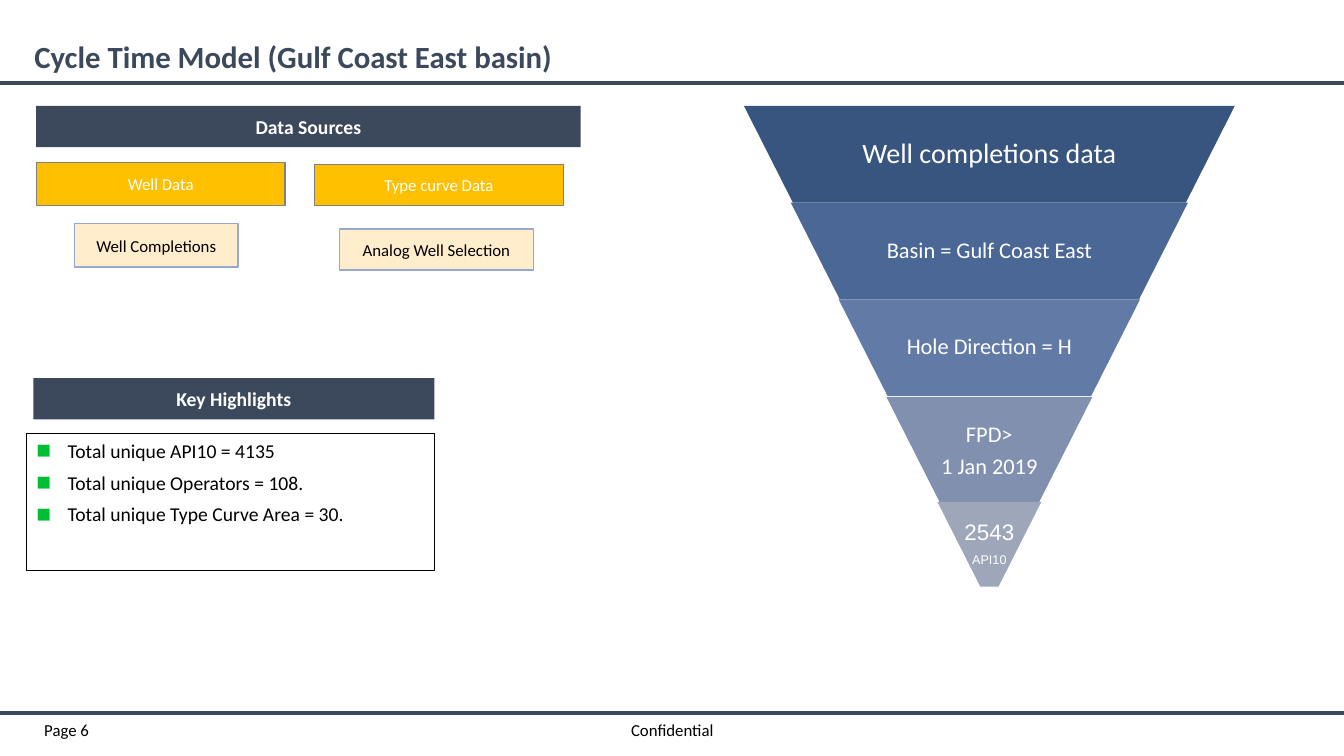
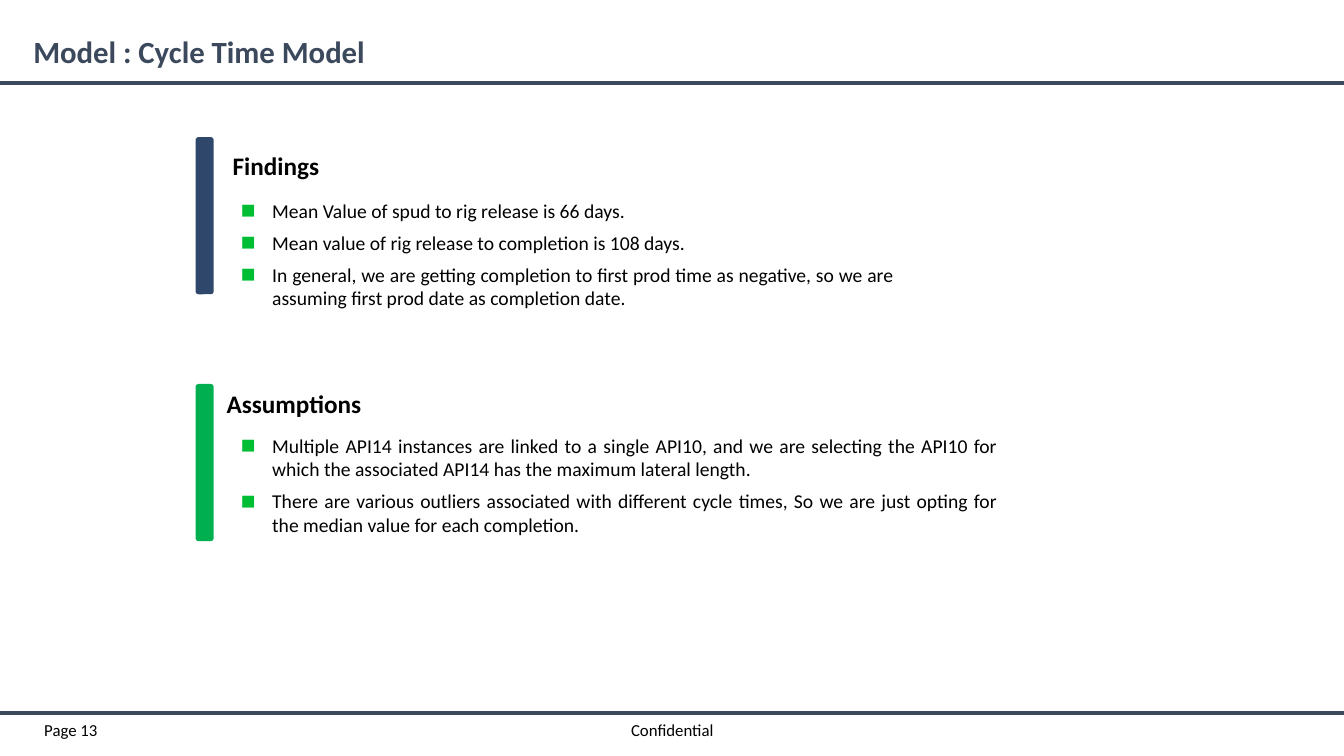
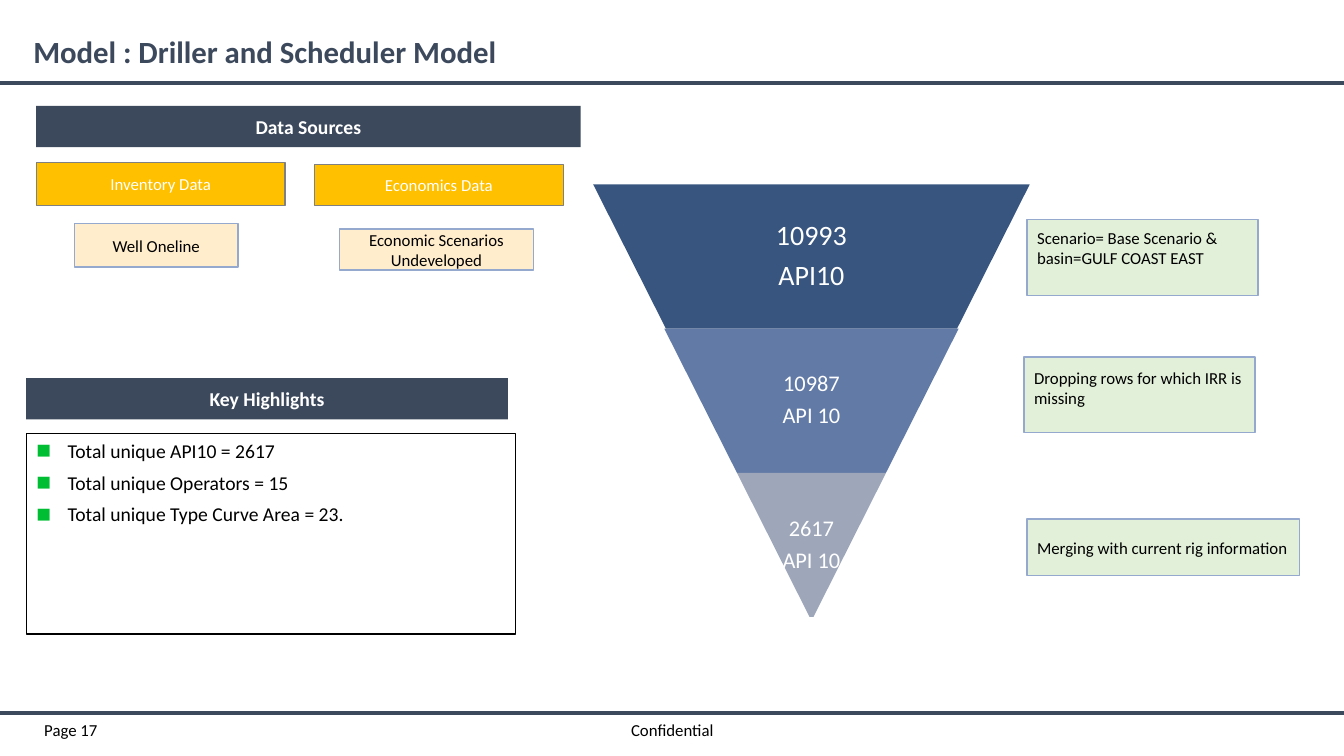
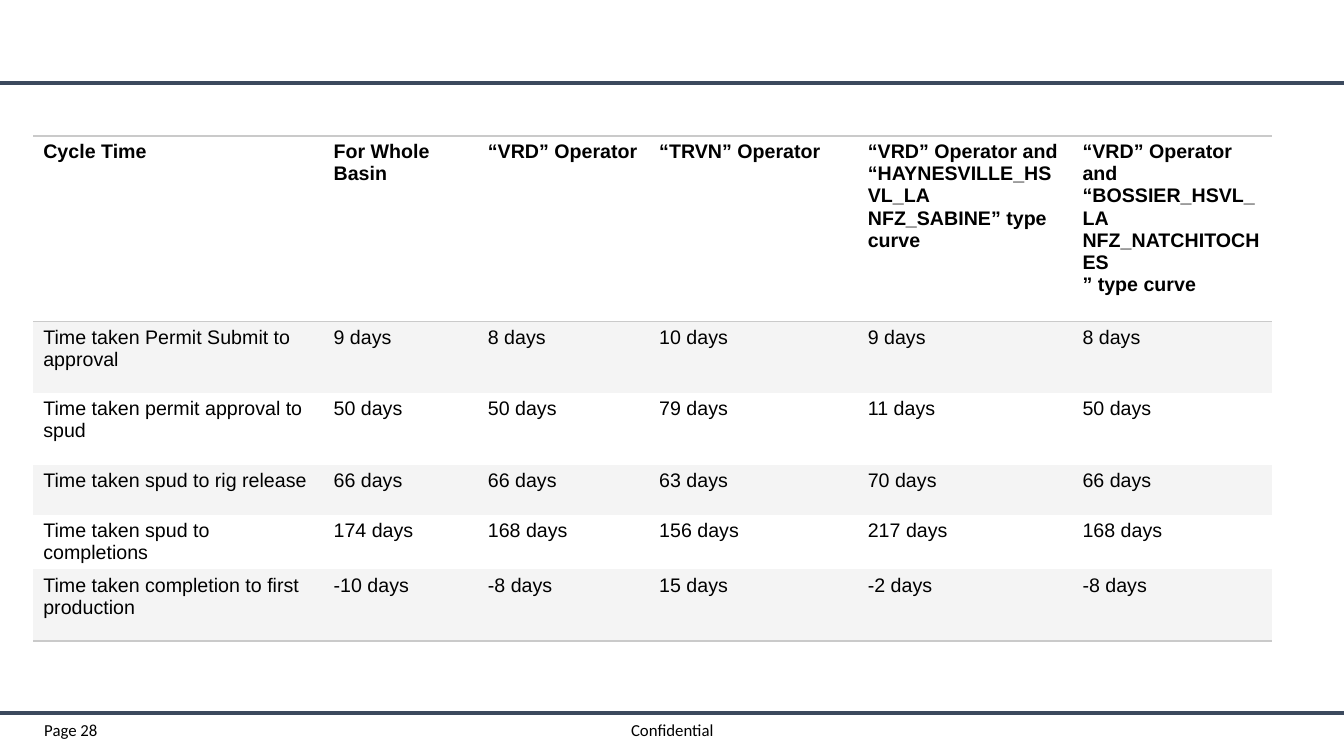
"""Build four slides on well cycle times and the driller and scheduler model."""
from lxml.etree import SubElement
from pptx import Presentation
from pptx.dml.color import RGBColor
from pptx.enum.shapes import MSO_CONNECTOR as Connector, MSO_SHAPE as Preset
from pptx.enum.text import MSO_ANCHOR as Anchor, MSO_AUTO_SIZE as AutoSize, PP_ALIGN as Align
from pptx.oxml.ns import qn
from pptx.util import Inches, Pt

COLUMNS, ROWS = 133.33, 75
CELL = Inches(0.1)
ONE_CONTENT, TWO_CONTENT, BLANK = 1, 3, 6
NO_GRID_STYLE = "{2D5ABB26-0587-4C30-8999-92F81FD0307C}"

SLATE, BLACK, WHITE = "3C495D", "000000", "FFFFFF"
AMBER, CREAM, MINT = "FFC000", "FFEDCC", "E2F0D9"
GRAY, PALE_BLUE = "808080", "95A8CD"
BULLET_GREEN, RULE_GRAY, BAND_GRAY = "00BE34", "CACACA", "F4F4F4"


def color(value):
    """Turn a hex string into a colour."""
    return RGBColor.from_string(value)


def grid(*lengths):
    """Turn grid columns and rows into slide lengths."""
    return [round(length * CELL) for length in lengths]


class Deck:
    """Hold the shared style and the current slide."""

    def __init__(self):
        """Start an empty presentation of the right size."""
        self.presentation = Presentation()
        self.presentation.slide_width, self.presentation.slide_height = grid(COLUMNS, ROWS)
        self.slide = None

    def new_slide(self, page, layout):
        """Add a slide with its rules and footer."""
        self.slide = self.presentation.slides.add_slide(self.presentation.slide_layouts[layout])
        for row in (8.2, 70.7):
            self.rule(row)
        self.text((60.4, 70.9, 12.6, 3), ["Confidential"], 12, align=Align.CENTER, anchor=Anchor.MIDDLE)
        self.text((3.4, 70.9, 31.2, 3), [f"Page {page}"], 12, anchor=Anchor.MIDDLE)

    def rule(self, row):
        """Draw a line across the slide."""
        line = self.slide.shapes.add_connector(Connector.STRAIGHT, *grid(0, row, COLUMNS, row))
        line.line.color.rgb = color(SLATE)
        line.line.width = Pt(3)
        SubElement(line._element.spPr, qn("a:effectLst"))

    def add_lines(self, frame, lines, size, ink=BLACK, bold=False, font="Calibri", align=Align.LEFT):
        """Add one paragraph per line; a line may carry its own size and font."""
        for index, line in enumerate(lines):
            paragraph = frame.add_paragraph() if index else frame.paragraphs[0]
            paragraph.alignment = align
            text, line_size, line_font = (line, size, font) if isinstance(line, str) else line
            run = paragraph.add_run()
            run.text = text
            run.font.size = Pt(line_size)
            run.font.name = line_font
            run.font.bold = bold
            run.font.color.rgb = color(ink)

    def frame(self, shape, anchor=Anchor.TOP, margins=(0.1, 0.05)):
        """Prepare the text frame of a shape."""
        frame = shape.text_frame
        frame.word_wrap = True
        frame.auto_size = AutoSize.NONE
        frame.vertical_anchor = anchor
        frame.margin_left = frame.margin_right = Inches(margins[0])
        frame.margin_top = frame.margin_bottom = Inches(margins[1])
        return frame

    def text(self, area, lines, size, anchor=Anchor.TOP, margins=(0.1, 0.05), **style):
        """Add a text box."""
        frame = self.frame(self.slide.shapes.add_textbox(*grid(*area)), anchor, margins)
        self.add_lines(frame, lines, size, **style)
        return frame

    def shape(self, preset, area, fill, outline=None):
        """Add a flat preset shape."""
        shape = self.slide.shapes.add_shape(preset, *grid(*area))
        shape.shadow.inherit = False
        shape.fill.solid()
        shape.fill.fore_color.rgb = color(fill)
        if outline:
            shape.line.color.rgb = color(outline)
            shape.line.width = Pt(1)
        else:
            shape.line.fill.background()
        return shape

    def label(self, area, lines, fill, outline=None, size=12, anchor=Anchor.MIDDLE, top=0.05, **style):
        """Add a rectangle with text in it."""
        frame = self.frame(self.shape(Preset.RECTANGLE, area, fill, outline), anchor)
        frame.margin_top = Inches(top)
        self.add_lines(frame, lines, size, **style)

    def heading(self, area, text):
        """Add a dark heading band."""
        self.label(area, [text], SLATE, size=14, ink=WHITE, bold=True, align=Align.CENTER)

    def move(self, placeholder, area):
        """Move a placeholder to an area of the grid."""
        placeholder.left, placeholder.top, placeholder.width, placeholder.height = grid(*area)

    def title(self, text, column=3.3, row=0):
        """Fill the title placeholder."""
        title = self.slide.shapes.title
        self.move(title, (column, row, 126.7, 6.9))
        frame = self.frame(title, Anchor.BOTTOM, (0, 0))
        self.add_lines(frame, [text], 22, ink=SLATE, bold=True)
        frame.paragraphs[0].line_spacing = 1.22

    def bullets(self, index, area, lines, outline=None):
        """Fill a body placeholder with a square-bulleted list."""
        body = self.slide.placeholders[index]
        self.move(body, area)
        if outline:
            body.line.color.rgb = color(outline)
            body.line.width = Pt(0.75)
        frame = self.frame(body)
        self.add_lines(frame, lines, 14, align=Align.JUSTIFY)
        for position, paragraph in enumerate(frame.paragraphs):
            paragraph.space_before = Pt(3 if position else 0)
            paragraph.space_after = Pt(3)
            properties = paragraph._p.get_or_add_pPr()
            properties.set("marL", str(Inches(0.31)))
            properties.set("indent", str(-Inches(0.31)))
            SubElement(SubElement(properties, qn("a:buClr")), qn("a:srgbClr"), val=BULLET_GREEN)
            SubElement(properties, qn("a:buSzPct"), val="125000")
            SubElement(properties, qn("a:buChar"), char="■")

    def funnel(self, center, slope, layers):
        """Stack inverted trapezoids around a centre column."""
        for layer, (row, width, height, fill, size, lines) in enumerate(layers, 1):
            band = self.shape(Preset.TRAPEZOID, (center - width / 2, row, width, height), fill)
            band.adjustments[0] = slope
            band.rotation = 180
            inner = width if layer == len(layers) else width * 0.65
            area = (center - inner / 2, row, inner, height)
            frame = self.text(area, lines, size, Anchor.MIDDLE, (0.02, 0.02), ink=WHITE, align=Align.CENTER)
            for paragraph in frame.paragraphs:
                paragraph.line_spacing = 0.9
                paragraph.space_after = Pt(round(size * 0.35, 1))

    def sources(self, groups):
        """Show two data groups, each with its data set below."""
        self.heading((3.6, 10.5, 54, 4.1), "Data Sources")
        group_areas = ((3.6, 16.1, 24.7, 4.3), (31.2, 16.3, 24.7, 4.1))
        set_areas = ((7.4, 22.2, 16.2, 4.3), (33.7, 22.7, 19.2, 4.1))
        for (group, data_set), group_area, set_area in zip(groups, group_areas, set_areas):
            self.label(group_area, [group], AMBER, GRAY, ink=WHITE, align=Align.CENTER)
            self.label(set_area, [data_set], CREAM, PALE_BLUE, align=Align.CENTER)

    def highlights(self, column, heading_width, list_width, list_height, lines):
        """Show the highlights band and its framed list."""
        self.heading((column, 37.5, heading_width, 4.1), "Key Highlights")
        self.bullets(1, (2.6, 43, list_width, list_height), lines, BLACK)

    def border(self, cell, side):
        """Draw a thin rule on one side of a cell."""
        properties = cell._tc.get_or_add_tcPr()
        line = properties.makeelement(qn(f"a:{side}"), {"w": str(Pt(1))})
        SubElement(SubElement(line, qn("a:solidFill")), qn("a:srgbClr"), val=RULE_GRAY)
        properties.insert(1 if properties.find(qn("a:lnT")) is not None else 0, line)

    def table(self, column, row, widths, heights, rows):
        """Add a banded table with ruled header and foot."""
        area = grid(column, row, sum(widths), sum(heights))
        table = self.slide.shapes.add_table(len(rows), len(widths), *area).table
        table._tbl.tblPr.find(qn("a:tableStyleId")).text = NO_GRID_STYLE
        for table_column, width in zip(table.columns, grid(*widths)):
            table_column.width = width
        for table_row, height in zip(table.rows, grid(*heights)):
            table_row.height = height
        for row_index, values in enumerate(rows):
            sides = {0: ("lnT", "lnB"), len(rows) - 1: ("lnB",)}.get(row_index, ())
            for cell, value in zip(table.rows[row_index].cells, values):
                self.add_lines(cell.text_frame, value.split("\n"), 14, bold=row_index == 0, font="Arial")
                if row_index % 2:
                    cell.fill.solid()
                    cell.fill.fore_color.rgb = color(BAND_GRAY)
                else:
                    cell.fill.background()
                for side in sides:
                    self.border(cell, side)


def cycle_time_data(deck):
    """Show the data behind the cycle time model."""
    deck.new_slide(6, ONE_CONTENT)
    deck.title("Cycle Time Model (Gulf Coast East basin)", 3.4, 0.5)
    deck.funnel(98.15, 0.506, [
        (10.5, 48.7, 9.6, "385580", 20, ["Well completions data"]),
        (20.1, 39.4, 9.6, "4B6795", 16, ["Basin = Gulf Coast East"]),
        (29.7, 29.9, 9.6, "627AA6", 16, ["Hole Direction = H"]),
        (39.4, 20.4, 10.8, "8190AF", 16, ["FPD>", "1 Jan 2019"]),
        (49.8, 10.3, 8.4, "9EA7BA", 16, [("2543", 16, "Arial"), ("API10", 9, "Arial")]),
    ])
    deck.highlights(3.3, 39.8, 40.5, 13.6, [
        "Total unique API10 = 4135",
        "Total unique Operators = 108.",
        "Total unique Type Curve Area = 30.",
    ])
    deck.sources([("Well Data", "Well Completions"), ("Type curve Data", "Analog Well Selection")])


def cycle_time_findings(deck):
    """Show the findings and assumptions of the cycle time model."""
    deck.new_slide(13, TWO_CONTENT)
    deck.title("Model : Cycle Time Model")
    for row, fill in ((13.6, "2F476A"), (38.1, "00B050")):
        deck.shape(Preset.ROUNDED_RECTANGLE, (19.4, row, 1.8, 15.6), fill)
    for column, row, text in ((22.1, 14.4, "Findings"), (21.5, 38, "Assumptions")):
        deck.text((column, row, 66.8, 4), [text], 18, bold=True)
    deck.bullets(1, (22.9, 19.2, 66.8, 12.6), [
        "Mean Value of spud to rig release is 66 days.",
        "Mean value of rig release to completion is 108 days.",
        "In general, we are getting completion to first prod time as negative, "
        "so we are assuming first prod date as completion date.",
    ])
    deck.bullets(2, (22.9, 42.5, 77.1, 19.9), [
        "Multiple API14 instances are linked to a single API10, and we are selecting the API10 "
        "for which the associated API14 has the maximum lateral length.",
        "There are various outliers associated with different cycle times, "
        "So we are just opting for the median value for each completion.",
    ])


def scheduler_data(deck):
    """Show the data behind the driller and scheduler model."""
    deck.new_slide(17, ONE_CONTENT)
    deck.title("Model : Driller and Scheduler Model")
    deck.highlights(2.6, 47.8, 48.5, 19.9, [
        "Total unique API10 = 2617",
        "Total unique Operators = 15",
        "Total unique Type Curve Area = 23.",
    ])
    deck.sources([("Inventory Data", "Well Oneline"), ("Economics Data", "Economic Scenarios Undeveloped")])
    deck.funnel(80.5, 0.504, [
        (18.3, 43.3, 14.3, "385580", 20, ["10993", "API10"]),
        (32.6, 29.2, 14.3, "627AA6", 16, ["10987", "API 10"]),
        (46.9, 14.8, 14.3, "9EA7BA", 16, ["2617", "API 10"]),
    ])
    deck.label((101.9, 21.8, 22.9, 7.5), ["Scenario= Base Scenario & basin=GULF COAST EAST"],
               MINT, PALE_BLUE, anchor=Anchor.TOP, top=0.08)
    deck.label((101.6, 35.4, 22.9, 7.5), ["Dropping rows for which IRR is", "missing"],
               MINT, PALE_BLUE, anchor=Anchor.TOP, top=0.11)
    deck.label((101.9, 51.5, 27, 5.6), ["Merging with current rig information"], MINT, PALE_BLUE)


def cycle_time_table(deck):
    """Compare cycle times by operator and type curve."""
    deck.new_slide(28, BLANK)
    header = [
        "Cycle Time", "For Whole Basin", "“VRD” Operator", "“TRVN” Operator",
        "“VRD” Operator and “HAYNESVILLE_HSVL_LA NFZ_SABINE” type curve",
        "“VRD” Operator and “BOSSIER_HSVL_LA NFZ_NATCHITOCHES\n” type curve",
    ]
    days = {
        "Time taken Permit Submit to approval": (9, 8, 10, 9, 8),
        "Time taken permit approval to spud": (50, 50, 79, 11, 50),
        "Time taken spud to rig release": (66, 66, 63, 70, 66),
        "Time taken spud to completions": (174, 168, 156, 217, 168),
        "Time taken completion to first production": (-10, -8, 15, -2, -8),
    }
    rows = [[step, *(f"{value} days" for value in values)] for step, values in days.items()]
    deck.table(3.3, 13.5, (28.8, 15.3, 17, 20.7, 21.3, 19.8), (18.4, 7.1, 7.1, 5, 5.4, 7.1), [header, *rows])


def main():
    """Build and save the slides."""
    deck = Deck()
    for build in (cycle_time_data, cycle_time_findings, scheduler_data, cycle_time_table):
        build(deck)
    deck.presentation.save("out.pptx")


if __name__ == "__main__":
    main()
